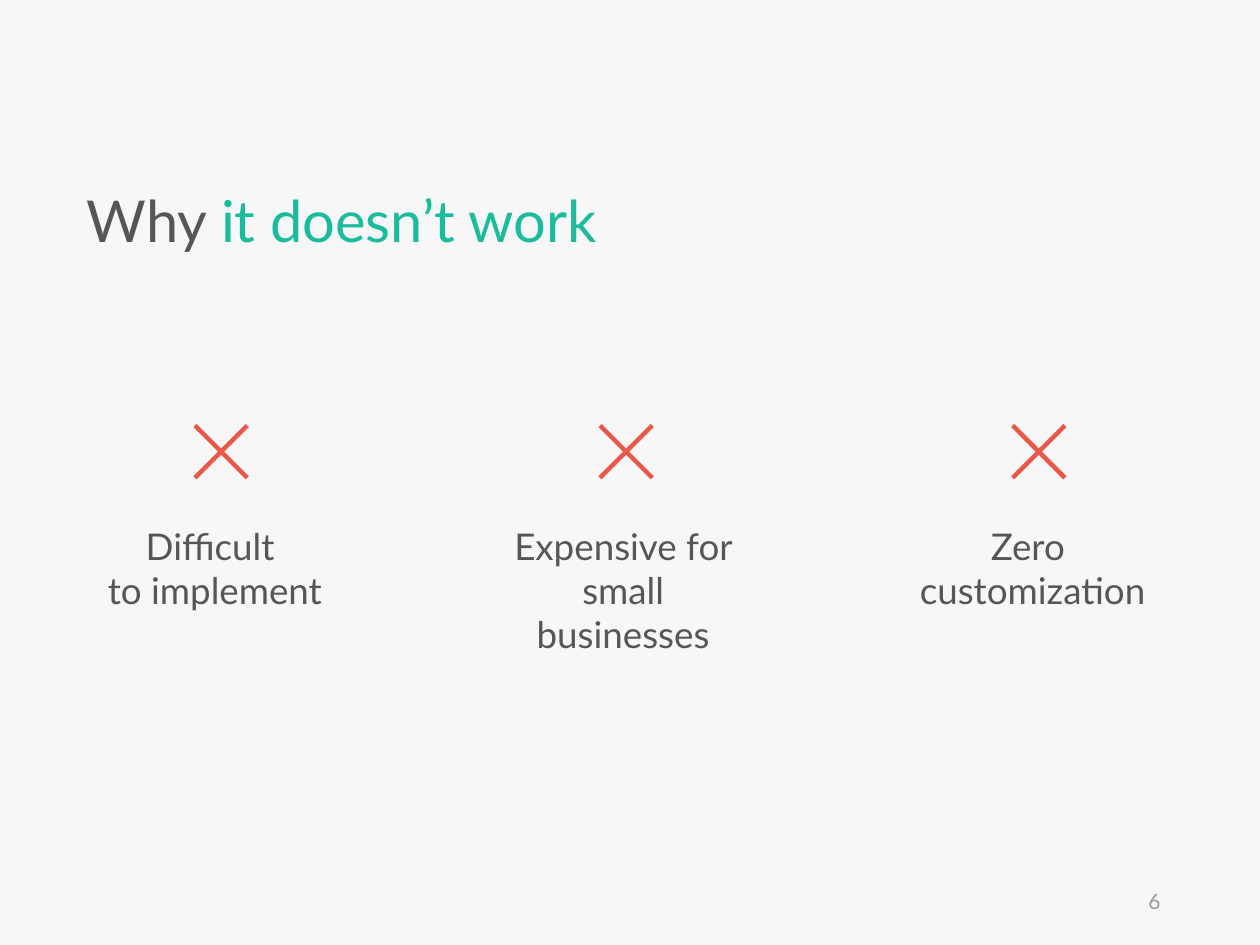
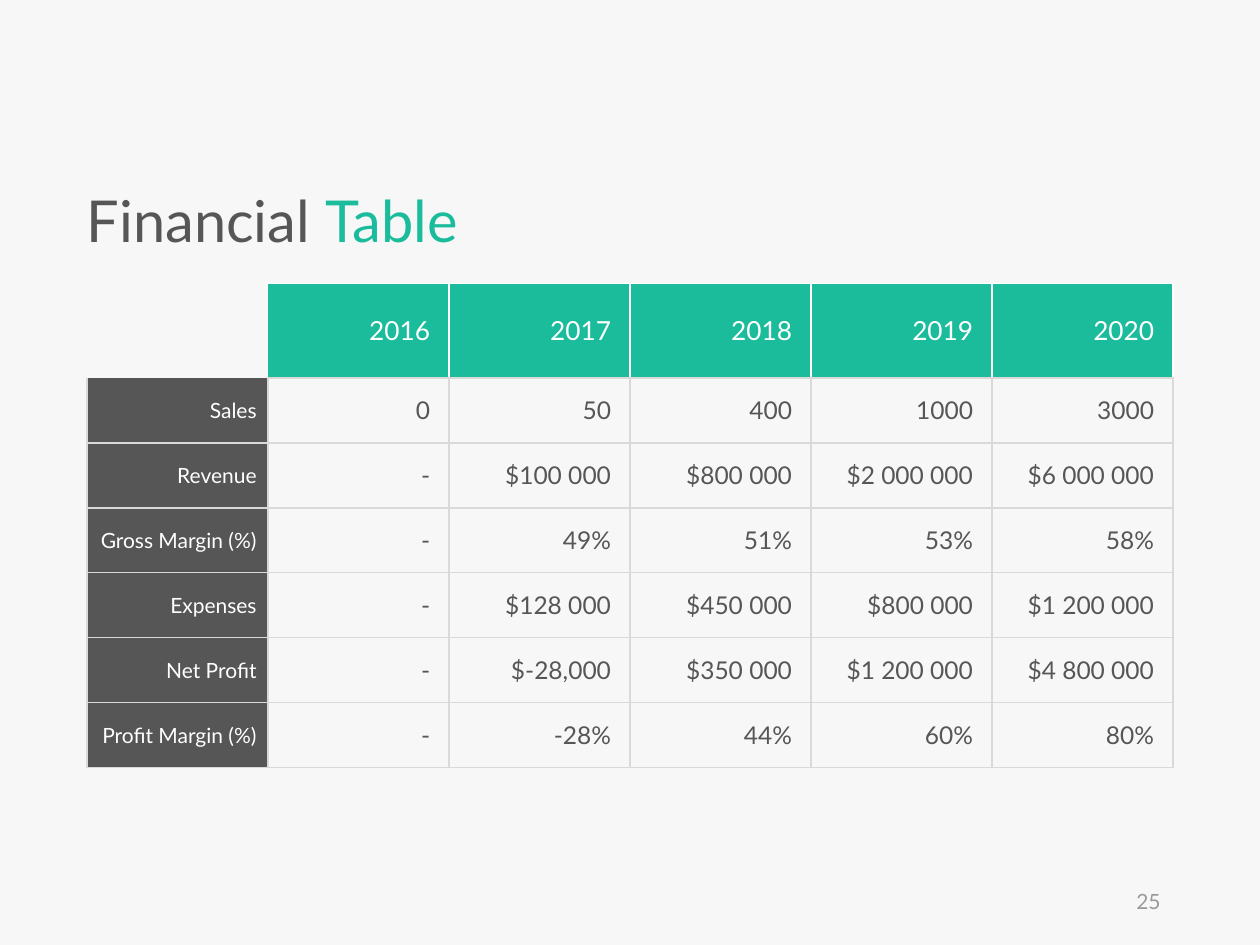
from lxml import etree
from pptx import Presentation
from pptx.dml.color import RGBColor
from pptx.enum.text import MSO_ANCHOR, MSO_AUTO_SIZE, PP_ALIGN
from pptx.oxml.ns import qn
from pptx.util import Inches, Pt

CENTER, RIGHT, LEFT = PP_ALIGN.CENTER, PP_ALIGN.RIGHT, PP_ALIGN.LEFT
TOP, MIDDLE = MSO_ANCHOR.TOP, MSO_ANCHOR.MIDDLE
GROW = MSO_AUTO_SIZE.SHAPE_TO_FIT_TEXT
NO_GRID_STYLE = "{2D5ABB26-0587-4C30-8999-92F81FD0307C}"

FONT = "Lato"
COLORS = {
    "background": "F7F7F7",
    "text": "565656",
    "accent": "1ABC9C",
    "cross": "E95849",
    "grid": "D9D9D9",
    "white": "FFFFFF",
    "number": "9A9A9A",
}
MARGIN = 0.69


def add_span(para, text, size, color):
    span = para.add_run()
    span.text = text
    span.font.name = FONT
    span.font.size = Pt(size)
    span.font.color.rgb = RGBColor.from_string(COLORS[color])


def add_border(cell, side, color):
    line = etree.SubElement(cell._tc.get_or_add_tcPr(), qn("a:ln" + side), w=str(Pt(1)))
    fill = etree.SubElement(line, qn("a:solidFill"))
    etree.SubElement(fill, qn("a:srgbClr"), val=COLORS[color])


deck = Presentation()
deck.slide_width, deck.slide_height = Inches(10), Inches(7.5)
backdrop = deck.slide_master.background.fill
backdrop.solid()
backdrop.fore_color.rgb = RGBColor.from_string(COLORS["background"])

# Both pages: two-colour title and page number
pages = []
for lead, accent, width, number in [
    ("Why ", "it doesn’t work", 4.27, "6"),
    ("Financial ", "Table", 3.68, "25"),
]:
    page = deck.slides.add_slide(deck.slide_layouts[5])
    pages.append(page)

    title = page.shapes.title
    title.left, title.top = Inches(MARGIN), Inches(1.48)
    title.width, title.height = Inches(width), Inches(0.6)
    frame = title.text_frame
    frame.margin_left = 0
    frame.vertical_anchor = TOP
    frame.auto_size = GROW
    para = frame.paragraphs[0]
    para.alignment = LEFT
    para.line_spacing = 0.9
    para.space_before = Pt(10)
    add_span(para, lead, 33, "text")
    add_span(para, accent, 33, "accent")

    box = page.shapes.add_textbox(Inches(7.06), Inches(6.95), Inches(2.25), Inches(0.4))
    frame = box.text_frame
    frame.word_wrap = True
    frame.vertical_anchor = MIDDLE
    para = frame.paragraphs[0]
    para.alignment = RIGHT
    add_span(para, number, 12, "number")

reasons_page, finance_page = pages

# Reasons: a cross above each caption
CROSS_MIDDLE = 3.585
CROSS_OUTLINE = [
    (0.22, -0.195), (0.195, -0.22), (0, -0.025), (-0.195, -0.22),
    (-0.22, -0.195), (-0.025, 0), (-0.22, 0.195), (-0.195, 0.22),
    (0, 0.025), (0.195, 0.22), (0.22, 0.195), (0.025, 0),
]
reasons = [
    (MARGIN, 1.755, ["Difficult ", "to implement"]),
    (3.93, 4.97, ["Expensive for small businesses"]),
    (7.18, 8.245, ["Zero ", "customization"]),
]
for left, cross_center, lines in reasons:
    box = reasons_page.shapes.add_textbox(
        Inches(left), Inches(4.11), Inches(2.13), Inches(0.81))
    frame = box.text_frame
    frame.word_wrap = True
    frame.margin_left = 0
    frame.auto_size = GROW
    para = frame.paragraphs[0]
    para.alignment = CENTER
    for index, text in enumerate(lines):
        if index:
            para.add_line_break()
        add_span(para, text, 21, "text")

    points = [(Inches(cross_center + x), Inches(CROSS_MIDDLE + y))
              for x, y in CROSS_OUTLINE]
    builder = reasons_page.shapes.build_freeform(*points[0])
    builder.add_line_segments(points[1:], close=True)
    cross = builder.convert_to_shape()
    cross.shadow.inherit = False
    cross.fill.solid()
    cross.fill.fore_color.rgb = RGBColor.from_string(COLORS["cross"])
    cross.line.fill.background()

# Financial table
figures = [
    ["", "2016", "2017", "2018", "2019", "2020"],
    ["Sales", "0", "50", "400", "1000", "3000"],
    ["Revenue", "-", "$100 000", "$800 000", "$2 000 000", "$6 000 000"],
    ["Gross Margin (%)", "-", "49%", "51%", "53%", "58%"],
    ["Expenses", "-", "$128 000", "$450 000", "$800 000", "$1 200 000"],
    ["Net Profit", "-", "$-28,000", "$350 000", "$1 200 000", "$4 800 000"],
    ["Profit Margin (%)", "-", "-28%", "44%", "60%", "80%"],
]
table = finance_page.shapes.add_table(
    len(figures), len(figures[0]),
    Inches(MARGIN), Inches(2.25), Inches(8.62), Inches(3.85)).table
table.first_row = table.horz_banding = False
table._tbl.tblPr.find(qn("a:tableStyleId")).text = NO_GRID_STYLE
for column in table.columns:
    column.width = Inches(8.62 / 6)
for index, row in enumerate(table.rows):
    row.height = Inches(0.515 if index else 0.75)

for row_index, values in enumerate(figures):
    for column_index, text in enumerate(values):
        cell = table.cell(row_index, column_index)
        header, label = row_index == 0, column_index == 0
        if header and label:
            cell.fill.background()
            continue

        # Borders come before the fill in the cell properties
        for side in "LRTB":
            if header and side == "L" and column_index == 1:
                continue
            if label and side == "T" and row_index == 1:
                continue
            add_border(cell, side, "white" if header and side != "B" else "grid")

        if header:
            size, color, fill = 15, "white", "accent"
        elif label:
            size, color, fill = 12, "white", "text"
        else:
            size, color, fill = 14, "text", None
        if fill:
            cell.fill.solid()
            cell.fill.fore_color.rgb = RGBColor.from_string(COLORS[fill])
        else:
            cell.fill.background()

        cell.vertical_anchor = MIDDLE
        cell.margin_left = Inches(0.07)
        cell.margin_right = Inches(0.09 if label else 0.15)
        cell.margin_top = cell.margin_bottom = Inches(0.04)
        para = cell.text_frame.paragraphs[0]
        para.alignment = RIGHT
        add_span(para, text, size, color)

deck.save("out.pptx")
